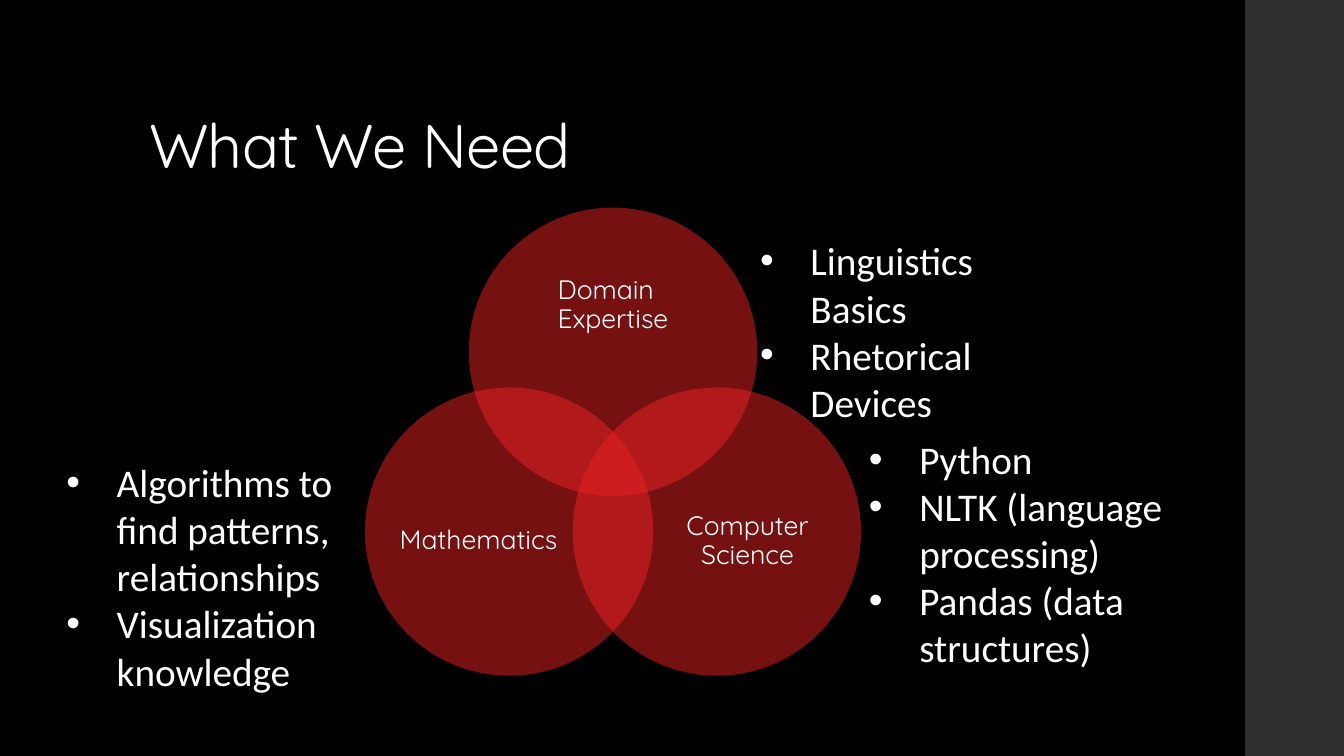
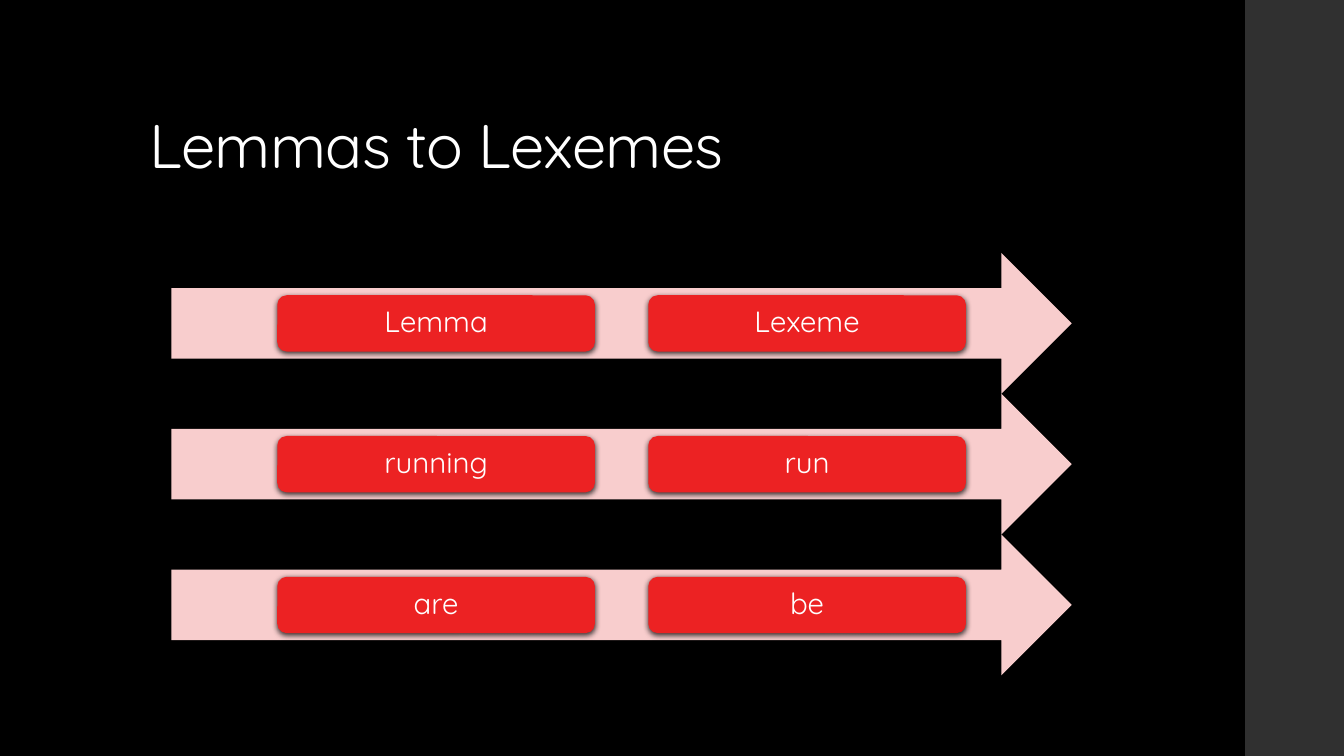
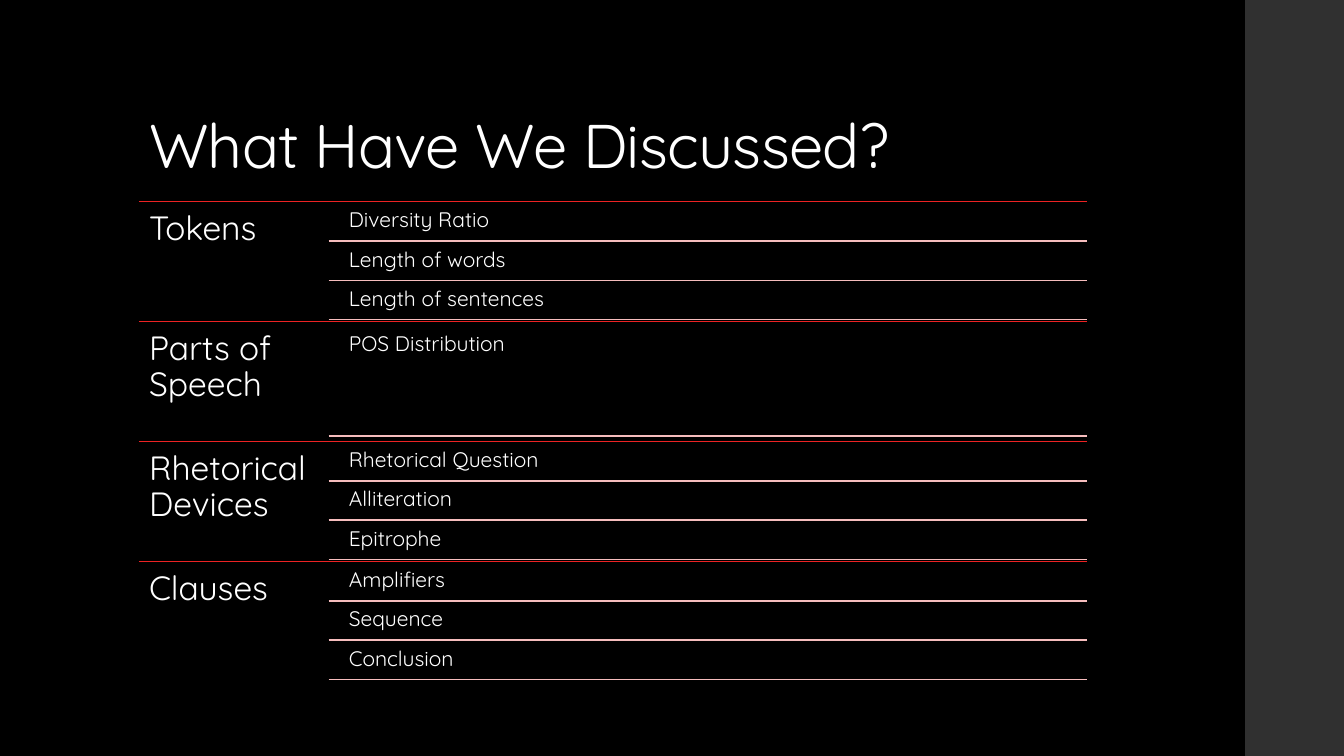
from math import sin, radians
from lxml import etree
from pptx import Presentation
from pptx.dml.color import RGBColor
from pptx.enum.shapes import MSO_CONNECTOR, MSO_SHAPE
from pptx.enum.text import MSO_ANCHOR, MSO_AUTO_SIZE, PP_ALIGN
from pptx.oxml import parse_xml
from pptx.oxml.ns import qn
from pptx.util import Inches, Pt

RECT, OVAL = MSO_SHAPE.RECTANGLE, MSO_SHAPE.OVAL
ARROW, ROUNDED = MSO_SHAPE.RIGHT_ARROW, MSO_SHAPE.ROUNDED_RECTANGLE
STRAIGHT = MSO_CONNECTOR.STRAIGHT
TOP, MIDDLE, BOTTOM = MSO_ANCHOR.TOP, MSO_ANCHOR.MIDDLE, MSO_ANCHOR.BOTTOM
LEFT, CENTER = PP_ALIGN.LEFT, PP_ALIGN.CENTER
GROW = MSO_AUTO_SIZE.SHAPE_TO_FIT_TEXT

BLACK = RGBColor(0x00, 0x00, 0x00)
WHITE = RGBColor(0xFF, 0xFF, 0xFF)
CHARCOAL = RGBColor(0x30, 0x30, 0x30)
RED = RGBColor(0xEC, 0x22, 0x23)
PALE_RED = RGBColor(0xF8, 0xCD, 0xCD)
PINK = RGBColor(0xF6, 0xBD, 0xBD)

HEADING_FONT, BODY_FONT = "Quicksand", "Calibri"
A_NS = "http://schemas.openxmlformats.org/drawingml/2006/main"
SOFT_SHADOW = (
    f'<a:effectLst xmlns:a="{A_NS}"><a:outerShdw blurRad="50800" dist="15240" '
    'dir="5400000" algn="ctr" rotWithShape="0"><a:srgbClr val="000000">'
    '<a:alpha val="75000"/></a:srgbClr></a:outerShdw></a:effectLst>'
)
NO_SHADOW = f'<a:effectLst xmlns:a="{A_NS}"/>'


def apply(target, **formats):
    """Set each format value on the target."""
    for name, value in formats.items():
        setattr(target, name, value)


def inches(*lengths):
    """Convert several lengths to inches."""
    return [Inches(length) for length in lengths]


def set_effect(shape, effect):
    """Replace the effects of a shape or connector."""
    properties = shape._element.spPr
    for old in properties.findall(qn("a:effectLst")):
        properties.remove(old)
    properties.append(parse_xml(effect))


def add_solid(slide, preset, box, color, opacity=100, effect=NO_SHADOW):
    """Add a filled preset shape without an outline."""
    solid = slide.shapes.add_shape(preset, *inches(*box))
    solid.fill.solid()
    solid.fill.fore_color.rgb = color
    solid.line.fill.background()
    set_effect(solid, effect)
    if opacity < 100:
        tint = solid._element.spPr.find(qn("a:solidFill"))[0]
        etree.SubElement(tint, qn("a:alpha")).set("val", str(opacity * 1000))
    return solid


def fill_frame(frame, text, size, insets, anchor=TOP, align=LEFT, spacing=0):
    """Write one heading-font paragraph into a text frame."""
    left, top, right, bottom = inches(*insets)
    apply(frame, word_wrap=True, vertical_anchor=anchor, margin_left=left,
          margin_top=top, margin_right=right, margin_bottom=bottom)
    paragraph = frame.paragraphs[0]
    apply(paragraph, alignment=align, line_spacing=0.9)
    run = paragraph.add_run()
    run.text = text
    apply(run.font, name=HEADING_FONT, size=Pt(size))
    run.font.color.rgb = WHITE
    if spacing:
        run._r.get_or_add_rPr().set("spc", str(spacing))


def add_label(slide, box, *content, **formats):
    """Add a text box holding one heading-font paragraph."""
    label = slide.shapes.add_textbox(*inches(*box))
    fill_frame(label.text_frame, *content, **formats)


def add_bullets(slide, box, items):
    """Add a bulleted list that grows downwards."""
    frame = slide.shapes.add_textbox(*inches(*box)).text_frame
    apply(frame, word_wrap=True, auto_size=GROW)
    for index, item in enumerate(items):
        paragraph = frame.add_paragraph() if index else frame.paragraphs[0]
        indents = paragraph._p.get_or_add_pPr()
        indents.set("marL", str(Inches(0.5)))
        indents.set("indent", str(-Inches(0.5)))
        etree.SubElement(indents, qn("a:buFont")).set("typeface", "Arial")
        etree.SubElement(indents, qn("a:buChar")).set("char", "•")
        run = paragraph.add_run()
        run.text = item
        apply(run.font, name=BODY_FONT, size=Pt(28))
        run.font.color.rgb = WHITE


def add_rule(slide, left, right, y, color, width, effect=NO_SHADOW):
    """Draw a horizontal rule."""
    rule = slide.shapes.add_connector(STRAIGHT, *inches(left, y, right, y))
    rule.line.color.rgb = color
    rule.line.width = Pt(width)
    set_effect(rule, effect)


def new_slide(deck, title):
    """Start a black slide with the side band and its title."""
    slide = deck.slides.add_slide(deck.slide_layouts[6])
    slide.background.fill.solid()
    slide.background.fill.fore_color.rgb = BLACK
    add_solid(slide, RECT, (12.35, 0, 1, 7.5), CHARCOAL)
    add_label(slide, (1.38, 0.4, 10.6, 1.45), title, 44,
              (0.1, 0.05, 0.1, 0.05), anchor=BOTTOM, spacing=-50)
    return slide


def add_venn(slide, left, top):
    """Draw three overlapping circles with their captions."""
    diameter, step = 2.86, 2.06
    drop = step * sin(radians(60))
    flush = (0, 0, 0, 0)
    circles = [
        ("Domain Expertise", step / 2, 0, (0.38, 0.5, 2.09, 1.28),
         (0.5, 0, 0, 0.34), LEFT),
        ("Computer Science", step, drop, (0.88, 0.74, 1.71, 1.57),
         flush, CENTER),
        ("Mathematics", 0, drop, (0.27, 0.74, 1.71, 1.57), flush, CENTER),
    ]
    for caption, dx, dy, (inner_x, inner_y, width, height), insets, align in circles:
        x, y = left + dx, top + dy
        add_solid(slide, OVAL, (x, y, diameter, diameter), RED, opacity=50)
        add_label(slide, (x + inner_x, y + inner_y, width, height), caption,
                  19, insets, anchor=MIDDLE, align=align)


def add_word_arrow(slide, box, words):
    """Draw an arrow carrying a row of word chips."""
    left, top, width, height = box
    chip_width, gap = 3.15, 0.53
    row_width = len(words) * (chip_width + gap) - gap
    add_solid(slide, ARROW, box, PALE_RED, effect=SOFT_SHADOW)
    for index, word in enumerate(words):
        x = left + (width - row_width) / 2 + index * (chip_width + gap)
        chip = add_solid(slide, ROUNDED,
                         (x, top + 0.3 * height, chip_width, 0.4 * height),
                         RED, effect=SOFT_SHADOW)
        fill_frame(chip.text_frame, word, 21, (0.09,) * 4,
                   anchor=MIDDLE, align=CENTER)


def add_topic(slide, box, topic, entries):
    """Draw a topic heading beside its ruled entries."""
    left, top, width, height = box
    right, heading_width, indent = left + width, 1.88, 0.14
    count = len(entries)
    entry_height = height / (count + 0.05 * (count + 1))
    gap = 0.05 * entry_height
    add_rule(slide, left, right, top, RED, 0.75, SOFT_SHADOW)
    add_label(slide, (left, top, heading_width, height), topic, 24, (0.1,) * 4)
    entry_left = left + heading_width
    for index, entry in enumerate(entries):
        y = top + gap + index * (entry_height + gap)
        add_label(slide, (entry_left + indent, y,
                          width - heading_width - indent, entry_height),
                  entry, 15, (0.06,) * 4)
        add_rule(slide, entry_left, right, y + entry_height, PINK, 1.1)


def build_needs(deck):
    """Build the slide of required skills."""
    slide = new_slide(deck, "What We Need")
    add_venn(slide, 3.62, 2.06)
    add_bullets(slide, (7.44, 2.3, 2.55, 1.04),
                ["Linguistics Basics", "Rhetorical Devices"])
    add_bullets(slide, (0.56, 4.5, 3.04, 1.51),
                ["Algorithms to find patterns, relationships",
                 "Visualization knowledge"])
    add_bullets(slide, (8.52, 4.27, 3.23, 1.99),
                ["Python", "NLTK (language processing)",
                 "Pandas (data structures)"])


def build_lemmas(deck):
    """Build the slide of lemma and lexeme pairs."""
    slide = new_slide(deck, "Lemmas to Lexemes")
    pairs = [("Lemma", "Lexeme"), ("running", "run"), ("are", "be")]
    height = 4.19 / len(pairs)
    for index, pair in enumerate(pairs):
        add_word_arrow(slide, (1.7, 2.51 + index * height, 8.93, height), pair)


def build_recap(deck):
    """Build the slide that lists the topics discussed."""
    slide = new_slide(deck, "What Have We Discussed?")
    topics = {
        "Tokens": ["Diversity Ratio", "Length of words", "Length of sentences"],
        "Parts of Speech": ["POS Distribution"],
        "Rhetorical Devices": ["Rhetorical Question", "Alliteration", "Epitrophe"],
        "Clauses": ["Amplifiers", "Sequence", "Conclusion"],
    }
    height = 1.19
    for index, (topic, entries) in enumerate(topics.items()):
        add_topic(slide, (1.38, 2 + index * height, 9.4, height), topic, entries)


def main():
    """Build and save the deck."""
    deck = Presentation()
    apply(deck, slide_width=Inches(13.33), slide_height=Inches(7.5))
    for build in (build_needs, build_lemmas, build_recap):
        build(deck)
    deck.save("out.pptx")


if __name__ == "__main__":
    main()
